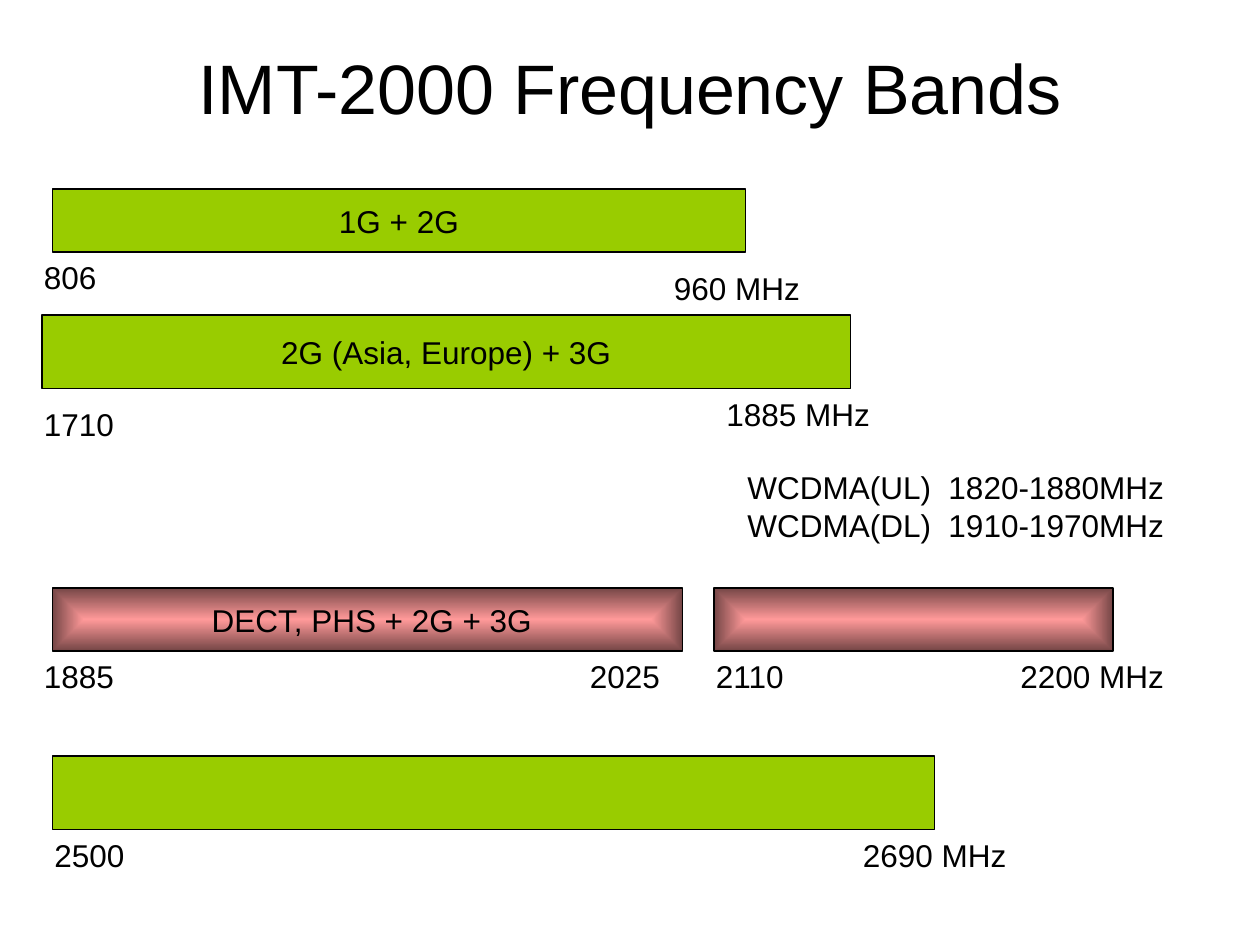
from dataclasses import dataclass

from pptx import Presentation
from pptx.dml.color import RGBColor
from pptx.enum.shapes import MSO_SHAPE
from pptx.enum.text import MSO_ANCHOR, MSO_AUTO_SIZE, PP_ALIGN
from pptx.oxml import parse_xml
from pptx.oxml.ns import nsdecls, qn
from pptx.util import Pt

RECTANGLE = MSO_SHAPE.RECTANGLE
TOP, MIDDLE = MSO_ANCHOR.TOP, MSO_ANCHOR.MIDDLE
FIT_SHAPE, FIXED_SIZE = MSO_AUTO_SIZE.SHAPE_TO_FIT_TEXT, MSO_AUTO_SIZE.NONE
LEFT, CENTER = PP_ALIGN.LEFT, PP_ALIGN.CENTER
TITLE_ONLY = 5


@dataclass(frozen=True)
class Theme:
    font: str = "Arial"
    title_size: int = 40
    body_size: int = 18
    ink: RGBColor = RGBColor(0, 0, 0)
    green: RGBColor = RGBColor(0x99, 0xCC, 0x00)
    pink: RGBColor = RGBColor(0xFF, 0x99, 0x99)
    maroon: RGBColor = RGBColor(0x75, 0x46, 0x46)
    outline: float = 0.75


@dataclass(frozen=True)
class Band:
    left: float
    top: float
    width: float
    height: float
    text: str = ""
    glowing: bool = False


@dataclass(frozen=True)
class Label:
    left: float
    top: float
    frequency: str
    unit: str = ""


THEME = Theme()

BANDS = [
    Band(30, 108, 396, 36, "1G + 2G"),
    Band(24, 180, 462, 42, "2G (Asia, Europe) + 3G"),
    Band(30, 336, 360, 36, " DECT, PHS + 2G + 3G", True),
    Band(408, 336, 228, 36, glowing=True),
    Band(30, 432, 504, 42),
]

LABELS = [
    Label(18, 144, "806"),
    Label(378, 150, "960", " MHz"),
    Label(18, 228, "1710"),
    Label(408, 222, "1885", " MHz"),
    Label(18, 372, "1885"),
    Label(330, 372, "2025"),
    Label(402, 372, "2110"),
    Label(576, 372, "2200", " MHz"),
    Label(24, 474, "2500"),
    Label(486, 474, "2690", " MHz"),
]

WCDMA_LINES = ["WCDMA(UL)  1820-1880MHz", "WCDMA(DL)  1910-1970MHz"]


def set_all(target, values: dict) -> None:
    for name, value in values.items():
        setattr(target, name, value)


def place(shape, left: float, top: float, width: float, height: float) -> None:
    set_all(shape, {"left": Pt(left), "top": Pt(top),
                    "width": Pt(width), "height": Pt(height)})


def write_lines(frame, lines: list[str], size: int, align, frame_format: dict) -> None:
    set_all(frame, frame_format)
    for index, line in enumerate(lines):
        para = frame.add_paragraph() if index else frame.paragraphs[0]
        para.alignment = align
        span = para.add_run()
        span.text = line
        set_all(span.font, {"name": THEME.font, "size": Pt(size)})
        span.font.color.rgb = THEME.ink


def fill_glow(shape) -> None:
    shape.fill.gradient()
    for stop, color in zip(shape.fill.gradient_stops, (THEME.pink, THEME.maroon)):
        stop.color.rgb = color
    gradient = shape._element.spPr.find(qn("a:gradFill"))
    glow = parse_xml(
        f'<a:path {nsdecls("a")} path="rect">'
        '<a:fillToRect l="50000" t="50000" r="50000" b="50000"/></a:path>'
    )
    gradient.replace(gradient.find(qn("a:lin")), glow)


def draw_band(page, band: Band) -> None:
    box = page.shapes.add_shape(RECTANGLE, Pt(band.left), Pt(band.top),
                                Pt(band.width), Pt(band.height))
    box.shadow.inherit = False
    if band.glowing:
        fill_glow(box)
    else:
        box.fill.solid()
        box.fill.fore_color.rgb = THEME.green
    box.line.color.rgb = THEME.ink
    box.line.width = Pt(THEME.outline)
    if band.text:
        write_lines(box.text_frame, [band.text], THEME.body_size, CENTER,
                    {"word_wrap": False, "vertical_anchor": MIDDLE})


def draw_text(page, left: float, top: float, width: float, height: float,
              lines: list[str], wrap: bool) -> None:
    box = page.shapes.add_textbox(Pt(left), Pt(top), Pt(width), Pt(height))
    write_lines(box.text_frame, lines, THEME.body_size, LEFT,
                {"word_wrap": wrap, "vertical_anchor": TOP, "auto_size": FIT_SHAPE})


def draw_label(page, label: Label) -> None:
    width = 14.4 + 10 * len(label.frequency) + (42 if label.unit else 0)
    draw_text(page, label.left, label.top, width, 28.8,
              [label.frequency + label.unit], False)


def main() -> None:
    deck = Presentation()
    set_all(deck, {"slide_width": Pt(720), "slide_height": Pt(540)})
    page = deck.slides.add_slide(deck.slide_layouts[TITLE_ONLY])
    title = page.shapes.title
    place(title, 36, 21.6, 648, 56.2)
    write_lines(title.text_frame, ["IMT-2000 Frequency Bands"], THEME.title_size, CENTER,
                {"word_wrap": True, "vertical_anchor": MIDDLE, "auto_size": FIXED_SIZE})
    for band in BANDS:
        draw_band(page, band)
    for label in LABELS:
        draw_label(page, label)
    draw_text(page, 420, 264, 270, 50.4, WCDMA_LINES, True)
    deck.save("out.pptx")


if __name__ == "__main__":
    main()
